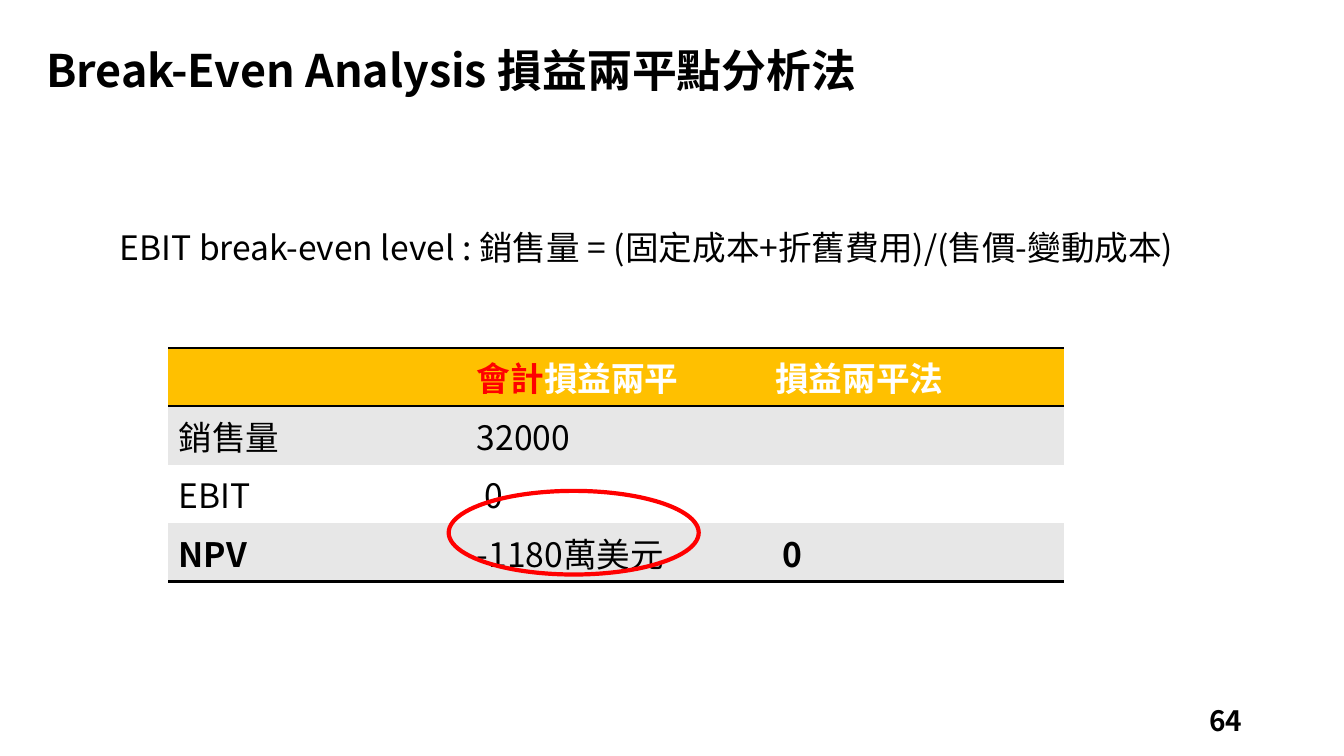
from lxml.etree import SubElement
from pptx import Presentation
from pptx.dml.color import RGBColor
from pptx.enum.shapes import MSO_SHAPE
from pptx.enum.text import MSO_ANCHOR, PP_ALIGN
from pptx.oxml.ns import qn
from pptx.util import Inches, Pt

TITLE = "Break-Even Analysis 損益兩平點分析法"
RULE = "EBIT break-even level : 銷售量 = (固定成本+折舊費用)/(售價-變動成本)"
PAGE = "64"
SANS, NUM = "Noto Sans CJK SC", "Noto Sans CJK TC"
HEX = {"black": "000000", "white": "FFFFFF", "red": "FF0000",
       "gold": "FFC000", "gray": "E7E7E7"}

# Each cell is a list of (text, colour, bold) runs.
ROWS = [
    [[], [("會計", "red", True), ("損益兩平", "white", True)],
     [("損益兩平法", "white", True)]],
    [[("銷售量", "black", False)], [("32000", "black", False)], []],
    [[("EBIT", "black", False)], [(" 0", "black", False)], []],
    [[("NPV", "black", True)], [("-1180萬美元", "black", False)],
     [(" 0", "black", True)]],
]
FILLS = ["gold", "gray", "white", "gray"]
EDGES = {0, 1, len(ROWS)}  # row boundaries that carry a black line
COL, ROW = 2.96, 0.58


def color(name):
    return RGBColor.from_string(HEX[name])


def write(para, runs, size, face=SANS):
    for text, tint, bold in runs:
        run = para.add_run()
        run.text = text
        font = run.font
        font.size, font.bold, font.name = Pt(size), bold, face
        font.color.rgb = color(tint)
        SubElement(run._r.get_or_add_rPr(), qn("a:ea"), typeface=face)


def border(cell, side, shown):
    props = cell._tc.get_or_add_tcPr()
    line = SubElement(props, qn(f"a:ln{side}"), w=str(Pt(2)))
    if shown:
        fill = SubElement(line, qn("a:solidFill"))
        SubElement(fill, qn("a:srgbClr"), val=HEX["black"])
    else:
        SubElement(line, qn("a:noFill"))


def add_text(slide, box, runs, size, face=SANS):
    frame = slide.shapes.add_textbox(*map(Inches, box)).text_frame
    frame.word_wrap = True
    write(frame.paragraphs[0], runs, size, face)
    return frame


def add_grid(slide):
    wide = len(ROWS[0])
    grid = slide.shapes.add_table(
        len(ROWS), wide, Inches(1.67), Inches(3.45),
        Inches(COL * wide), Inches(ROW * len(ROWS))).table
    grid.first_row = grid.horz_banding = False
    for col in grid.columns:
        col.width = Inches(COL)
    for r, row in enumerate(ROWS):
        grid.rows[r].height = Inches(ROW)
        for c, runs in enumerate(row):
            cell = grid.cell(r, c)
            for side, shown in (("L", False), ("R", False),
                                ("T", r in EDGES), ("B", r + 1 in EDGES)):
                border(cell, side, shown)
            cell.fill.solid()
            cell.fill.fore_color.rgb = color(FILLS[r])
            write(cell.text_frame.paragraphs[0], runs, 24)


def main():
    deck = Presentation()
    deck.slide_width, deck.slide_height = Inches(13.33), Inches(7.5)
    slide = deck.slides.add_slide(deck.slide_layouts[5])

    title = slide.shapes.title
    title.left, title.top = Inches(0.36), Inches(0)
    title.width, title.height = Inches(11.5), Inches(1.45)
    title.text_frame.vertical_anchor = MSO_ANCHOR.MIDDLE
    head = title.text_frame.paragraphs[0]
    head.alignment, head.line_spacing = PP_ALIGN.LEFT, 0.9
    write(head, [(TITLE, "black", True)], 32)

    add_text(slide, (1.09, 2.2, 10.88, 0.5), [(RULE, "black", False)], 24)
    add_grid(slide)

    ring = slide.shapes.add_shape(
        MSO_SHAPE.OVAL, *map(Inches, (4.45, 4.87, 2.48, 0.83)))
    ring.shadow.inherit = False
    ring.fill.background()
    ring.line.color.rgb, ring.line.width = color("red"), Pt(3)

    page = add_text(slide, (9.42, 6.95, 3, 0.4),
                    [(PAGE, "black", True)], 20, NUM)
    page.vertical_anchor = MSO_ANCHOR.MIDDLE
    page.paragraphs[0].alignment = PP_ALIGN.RIGHT
    deck.save("out.pptx")


if __name__ == "__main__":
    main()
